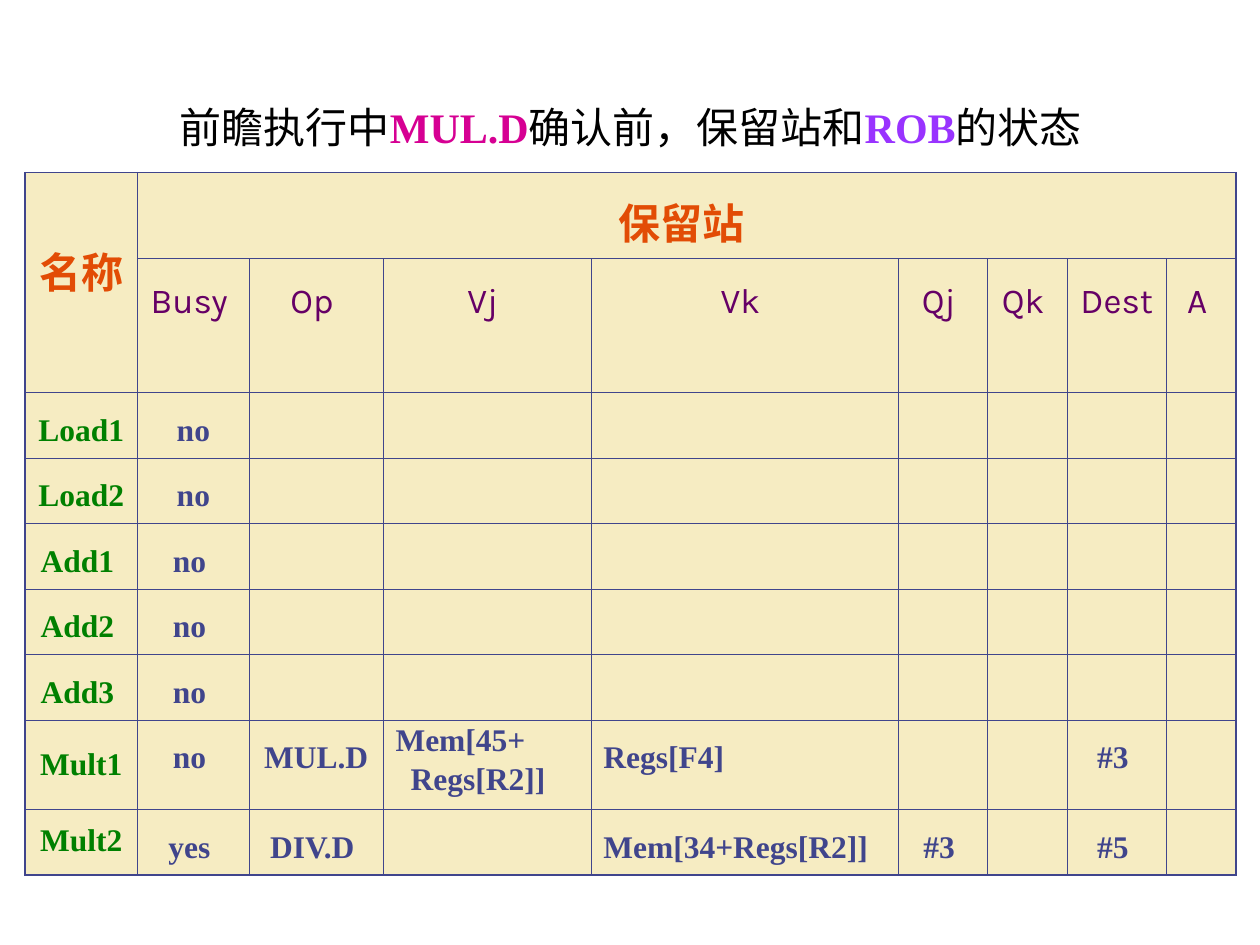
from lxml.etree import SubElement
from pptx import Presentation
from pptx.dml.color import RGBColor
from pptx.enum.text import MSO_AUTO_SIZE, PP_ALIGN
from pptx.oxml.ns import qn
from pptx.util import Inches, Pt

CHINESE, LATIN, HEADER = "Noto Sans CJK SC", "Times New Roman", "Karla"
BLACK, INK, CREAM = "000000", "40458C", "F6ECC2"
ORANGE, PURPLE, GREEN = "E24C05", "660066", "008000"
THIN, THICK = 0.45, 1.08

TITLE = [
    ("前瞻执行中", CHINESE, BLACK, False),
    ("MUL.D", LATIN, "D60093", True),
    ("确认前，保留站和", CHINESE, BLACK, False),
    ("ROB", LATIN, "9933FF", True),
    ("的状态", CHINESE, BLACK, False),
]
FIELDS = ["Busy ", "Op ", "Vj ", "Vk ", "Qj ", "Qk ", "Dest ", "A "]
STATIONS = [
    ["Load1", "no"],
    ["Load2", "no"],
    ["Add1 ", "no "],
    ["Add2 ", "no "],
    ["Add3 ", "no "],
    ["Mult1 ", "no ", "MUL.D", "Mem[45+\nRegs[R2]]", "Regs[F4]", "", "", "#3 "],
    ["Mult2 ", "yes ", "DIV.D ", "", "Mem[34+Regs[R2]]", "#3 ", "", "#5 "],
]
NAME_SPACING = {"Mult1 ": 1.6, "Mult2 ": 1.2}
VALUE_COLUMNS = (3, 4)  # Vj and Vk are left-aligned
COLUMN_WIDTHS = [0.89, 0.89, 1.06, 1.65, 2.44, 0.71, 0.63, 0.79, 0.55]
ROW_HEIGHTS = [0.58, 0.9] + [0.52] * 5 + [0.71, 0.52]


def color(value):
    return RGBColor.from_string(value)


def add_span(para, text, *, font, size, fill, bold=False):
    span = para.add_run()
    span.text = text
    span.font.name = font
    span.font.size = Pt(size)
    span.font.bold = bold
    span.font.color.rgb = color(fill)
    latin = span.font._element.find(qn("a:latin"))
    east_asian = latin.makeelement(qn("a:ea"), {"typeface": font})
    latin.addnext(east_asian)


def write_cell(cell, text, *, spacing=1.4, align=PP_ALIGN.CENTER, **style):
    """Write one paragraph per line; later lines are indented."""
    for index, line in enumerate(text.split("\n")):
        para = cell.text_frame.paragraphs[0]
        if index:
            para = cell.text_frame.add_paragraph()
            para.space_before = Pt(4.5)
            para._p.get_or_add_pPr().set("marL", str(Inches(0.12)))
        para.alignment = align
        para.line_spacing = spacing
        add_span(para, line, **style)


def set_borders(cell, widths):
    properties = cell._tc.get_or_add_tcPr()
    for side, width in zip("LRTB", widths):
        line = SubElement(properties, qn(f"a:ln{side}"), w=str(Pt(width)))
        fill = SubElement(line, qn("a:solidFill"))
        SubElement(fill, qn("a:srgbClr"), val=INK)


def add_title(page):
    box = page.shapes.add_textbox(Inches(1.33), Inches(0.76), Inches(7.92), Inches(0.5))
    frame = box.text_frame
    frame.word_wrap = True
    frame.auto_size = MSO_AUTO_SIZE.SHAPE_TO_FIT_TEXT
    for text, font, fill, bold in TITLE:
        add_span(frame.paragraphs[0], text, font=font, size=24, fill=fill, bold=bold)


def add_station_table(page):
    row_count, column_count = len(ROW_HEIGHTS), len(COLUMN_WIDTHS)
    table = page.shapes.add_table(
        row_count, column_count, Inches(0.2), Inches(1.37),
        Inches(sum(COLUMN_WIDTHS)), Inches(sum(ROW_HEIGHTS))).table
    table.first_row = table.horz_banding = False
    for column, width in zip(table.columns, COLUMN_WIDTHS):
        column.width = Inches(width)
    for row, height in zip(table.rows, ROW_HEIGHTS):
        row.height = Inches(height)

    table.cell(0, 0).merge(table.cell(1, 0))
    table.cell(0, 1).merge(table.cell(0, column_count - 1))
    for r in range(row_count):
        for c in range(column_count):
            cell = table.cell(r, c)
            outer = (c == 0, c == column_count - 1 or (r == 0 and c == 1),
                     r == 0, r == row_count - 1)
            set_borders(cell, [THICK if edge else THIN for edge in outer])
            cell.fill.solid()
            cell.fill.fore_color.rgb = color(CREAM)

    heading = dict(font=CHINESE, size=24, fill=ORANGE, bold=True)
    write_cell(table.cell(0, 0), "名称 ", spacing=2.0, **heading)
    write_cell(table.cell(0, 1), "保留站 ", spacing=1.2, **heading)
    for c, field in enumerate(FIELDS, start=1):
        write_cell(table.cell(1, c), field, font=HEADER, size=20, fill=PURPLE)
    for r, station in enumerate(STATIONS, start=2):
        for c, text in enumerate(station):
            if not text:
                continue
            spacing = 0.9 if "\n" in text else NAME_SPACING.get(text, 1.4)
            align = PP_ALIGN.LEFT if c in VALUE_COLUMNS else PP_ALIGN.CENTER
            write_cell(table.cell(r, c), text, spacing=spacing, align=align,
                       font=LATIN, size=18, fill=INK if c else GREEN, bold=True)


def main():
    deck = Presentation()
    deck.slide_width, deck.slide_height = Inches(10), Inches(7.5)
    page = deck.slides.add_slide(deck.slide_layouts[6])
    add_station_table(page)
    add_title(page)
    deck.save("out.pptx")


if __name__ == "__main__":
    main()
